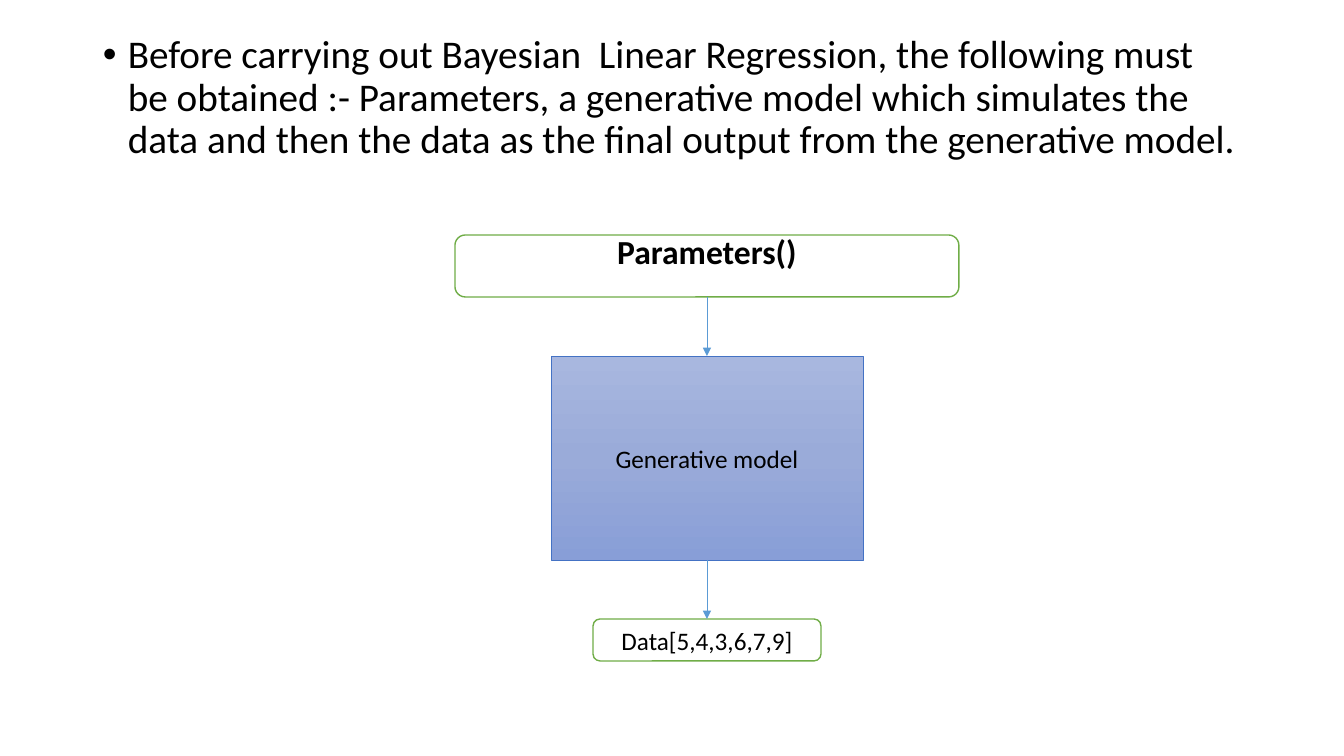
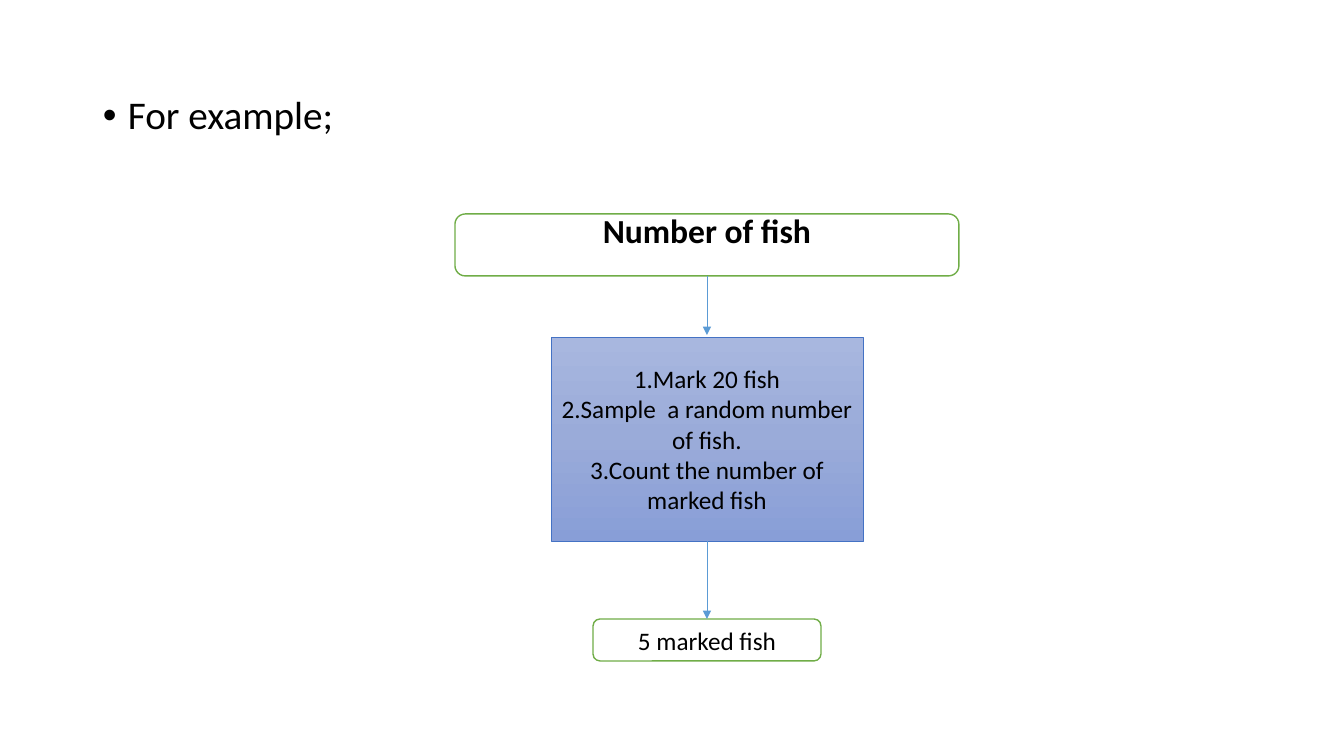
import copy

import pptx
import pptx.util
import pptx.dml.color
import pptx.enum.shapes
import pptx.enum.text
import pptx.oxml
import pptx.oxml.ns

RGB = pptx.dml.color.RGBColor
BLACK = RGB(0x00, 0x00, 0x00)
WHITE = RGB(0xFF, 0xFF, 0xFF)
GREEN = RGB(0x70, 0xAD, 0x47)
BLUE = RGB(0x44, 0x72, 0xC4)
SKY = RGB(0x5B, 0x9B, 0xD5)
PALE = RGB(0xA8, 0xB7, 0xDF)
SOFT = RGB(0x9A, 0xAB, 0xD9)
DEEP = RGB(0x88, 0x9E, 0xD7)

SCALE = 914400 / 100.8
WIDTH, HEIGHT = 1344, 756
LEFT, WIDE = 93, 1155
INSET = 5

SHAPE = pptx.enum.shapes.MSO_SHAPE
MIDDLE = pptx.enum.text.MSO_ANCHOR.MIDDLE
CENTER = pptx.enum.text.PP_ALIGN.CENTER

BODY = dict(line_spacing=0.9, space_before=pptx.util.Pt(10))
PLAIN = dict(size=pptx.util.Pt(18), bold=False)
STRONG = dict(size=pptx.util.Pt(24), bold=True)
LARGE = dict(size=pptx.util.Pt(28), bold=False)


def px(*sizes):
    """Turn pixels into a list of EMU lengths."""
    return [pptx.util.Emu(round(size * SCALE)) for size in sizes]


def apply(target, values):
    """Set each named value on the target."""
    for name, value in values.items():
        setattr(target, name, value)


def write(frame, lines, font, para):
    """Write one paragraph per line in the given styles."""
    frame.word_wrap = True
    for row, line in enumerate(lines):
        item = frame.add_paragraph() if row else frame.paragraphs[0]
        apply(item, para)
        run = item.add_run()
        run.text = line
        apply(run.font, dict(font, name="Calibri"))
        run.font.color.rgb = BLACK


def bullet(slide, box, text):
    """Place a bulleted statement in the box."""
    frame = slide.shapes.add_textbox(*px(*box)).text_frame
    write(frame, [text], LARGE, BODY)
    props = frame.paragraphs[0]._p.get_or_add_pPr()
    indent, = px(25)
    props.set("marL", str(indent))
    props.set("indent", str(-indent))
    space = pptx.oxml.ns.nsdecls("a")
    for tag in ('buFont %s typeface="Arial"', 'buChar %s char="\u2022"'):
        props.append(pptx.oxml.parse_xml("<a:" + tag % space + "/>"))


def block(slide, kind, box, lines, font, edge, weight, foot=INSET):
    """Place an outlined shape with centred text, and return it."""
    shape = slide.shapes.add_shape(kind, *px(*box))
    shape.shadow.inherit = False
    shape.fill.solid()
    shape.fill.fore_color.rgb = WHITE
    shape.line.color.rgb = edge
    shape.line.width = pptx.util.Pt(weight)
    top, base = px(INSET, foot)
    apply(shape.text_frame, dict(vertical_anchor=MIDDLE, margin_top=top,
                                 margin_bottom=base))
    write(shape.text_frame, lines, font, dict(alignment=CENTER))
    return shape


def shade(shape):
    """Fill the shape with the blue gradient, light at the top."""
    shape.fill.gradient()
    shape.fill.gradient_angle = 270
    first = shape.fill.gradient_stops[0]._gs
    first.addnext(copy.deepcopy(first))
    stops = zip(shape.fill.gradient_stops, (PALE, SOFT, DEEP), (0, 0.5, 1))
    for stop, color, place in stops:
        stop.color.rgb = color
        stop.position = place


def arrow(slide, x, top, base):
    """Draw a thin arrow down from top to base."""
    line = slide.shapes.add_connector(
        pptx.enum.shapes.MSO_CONNECTOR.STRAIGHT, *px(x, top, x, base))
    line.line.color.rgb = SKY
    line.line.width = pptx.util.Pt(0.5)
    space = pptx.oxml.ns.nsdecls("a")
    line.line._get_or_add_ln().append(
        pptx.oxml.parse_xml(f'<a:tailEnd {space} type="triangle"/>'))
    line._element.spPr.append(pptx.oxml.parse_xml(f"<a:effectLst {space}/>"))


def flow(slide, box, gap, head, steps, result):
    """Stack input, model and result down the middle of the box."""
    left, top, wide, tall = box
    mid = left + wide / 2
    high, core, low, reach = 62, 204, 42, 59
    start, end = top + high + gap, top + tall - low
    model = block(slide, SHAPE.RECTANGLE, (mid - 156, start, 312, core),
                  steps, PLAIN, BLUE, 0.5)
    shade(model)
    # The heading sits in the upper half of its box.
    block(slide, SHAPE.ROUNDED_RECTANGLE, (left, top, wide, high),
          [head], STRONG, GREEN, 1, foot=34)
    block(slide, SHAPE.ROUNDED_RECTANGLE, (mid - 114, end, 228, low),
          [result], PLAIN, GREEN, 1)
    arrow(slide, mid, top + high, top + high + reach)
    arrow(slide, mid, start + core, end)


def page(deck, top, text, rise, gap, *parts):
    """Add a slide with a statement above a flow chart."""
    slide = deck.slides.add_slide(deck.slide_layouts[6])
    bullet(slide, (LEFT, top, WIDE, 680 - top), text)
    flow(slide, (455, rise, 504, 661 - rise), gap, *parts)


deck = pptx.Presentation()
deck.slide_width, deck.slide_height = px(WIDTH, HEIGHT)
page(deck, 30,
     "Before carrying out Bayesian  Linear Regression, the following must be "
     "obtained :- Parameters, a generative model which simulates the data and "
     "then the data as the final output from the generative model.",
     235, 59, "Parameters()", ["Generative model"], "Data[5,4,3,6,7,9]")
page(deck, 91, "For example;", 214, 61, "Number of fish",
     ["1.Mark 20 fish", "2.Sample  a random number of fish.",
      "3.Count the number of marked fish"], "5 marked fish")
deck.save("out.pptx")
